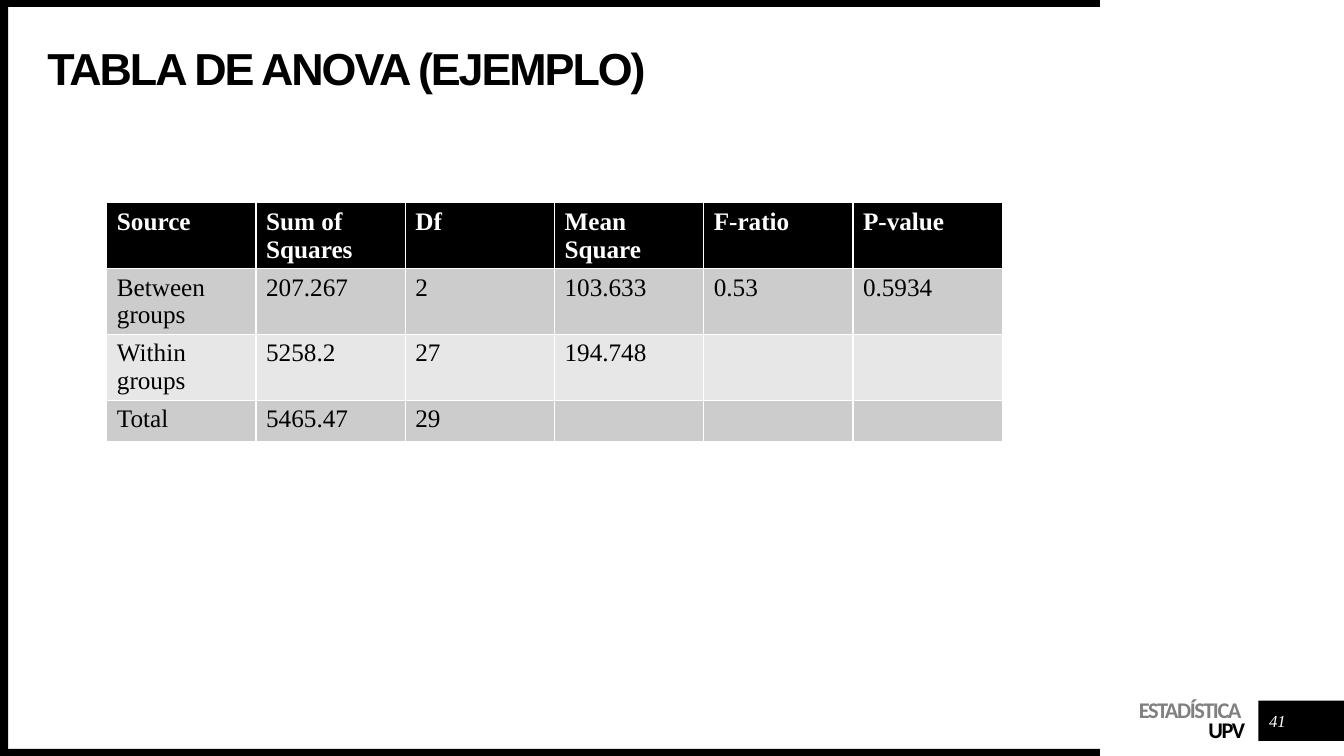
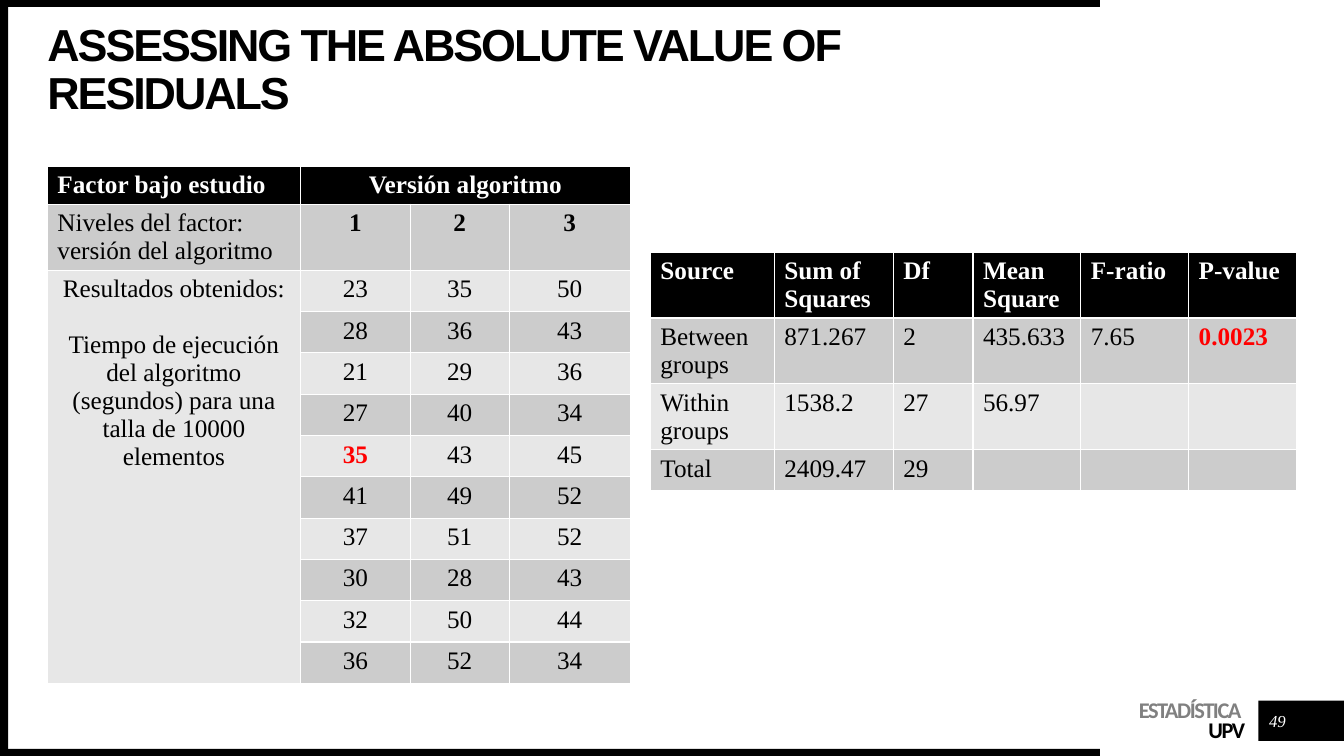
from dataclasses import dataclass
from typing import NamedTuple

from pptx import Presentation
from pptx.dml.color import RGBColor
from pptx.enum.shapes import MSO_SHAPE
from pptx.enum.text import MSO_ANCHOR, MSO_AUTO_SIZE, PP_ALIGN
from pptx.util import Inches, Pt

RECTANGLE = MSO_SHAPE.RECTANGLE
MIDDLE = MSO_ANCHOR.MIDDLE
NO_AUTOFIT = MSO_AUTO_SIZE.NONE
LEFT, CENTER, RIGHT = PP_ALIGN.LEFT, PP_ALIGN.CENTER, PP_ALIGN.RIGHT


class TextStyle(NamedTuple):
    font: str
    size: int
    color: str
    bold: bool = False
    italic: bool = False
    tracking: int = 0


@dataclass(frozen=True)
class Theme:
    ink: str = "000000"
    row_fills: tuple = ("E7E7E7", "CCCCCC")
    title: TextStyle = TextStyle("Arial", 32, "000000", bold=True, tracking=-150)
    course: TextStyle = TextStyle("Calibri", 16, "808080", bold=True, tracking=-100)
    school: TextStyle = TextStyle("Calibri", 16, "000000", bold=True, tracking=-100)
    number: TextStyle = TextStyle("Times New Roman", 12, "FFFFFF", italic=True)
    header: TextStyle = TextStyle("Times New Roman", 18, "FFFFFF", bold=True)
    body: TextStyle = TextStyle("Times New Roman", 18, "000000")
    level: TextStyle = TextStyle("Times New Roman", 18, "000000", bold=True)
    alert: TextStyle = TextStyle("Times New Roman", 18, "FF0000", bold=True)


theme = Theme()


def add_run(paragraph, text, style, alignment):
    paragraph.alignment = alignment
    run = paragraph.add_run()
    run.text = text
    run.font.name = style.font
    run.font.size = Pt(style.size)
    run.font.bold = style.bold
    run.font.italic = style.italic
    run.font.color.rgb = RGBColor.from_string(style.color)
    if style.tracking:
        run.font._element.set("spc", str(style.tracking))


def add_data_table(slide, left, top, widths, heights, rows, styles, centered):
    table = slide.shapes.add_table(
        len(rows), len(widths), Inches(left), Inches(top),
        Inches(sum(widths)), Inches(sum(heights)),
    ).table
    for column, width in zip(table.columns, widths):
        column.width = Inches(width)
    for row_index, texts in enumerate(rows):
        table.rows[row_index].height = Inches(heights[row_index])
        row_fill = theme.row_fills[row_index % 2] if row_index else theme.ink
        row_style = theme.body if row_index else theme.header
        for column_index, text in enumerate(texts):
            cell = table.cell(row_index, column_index)
            cell.fill.solid()
            cell.fill.fore_color.rgb = RGBColor.from_string(row_fill)
            style = styles.get((row_index, column_index), row_style)
            in_center = centered and (column_index > 0 or row_index > 1)
            for line_index, line in enumerate(text.split("\n") if text else []):
                paragraph = cell.text_frame.paragraphs[0]
                if line_index:
                    paragraph = cell.text_frame.add_paragraph()
                    paragraph.space_before = Pt(20)
                add_run(paragraph, line, style, CENTER if in_center else LEFT)
    return table


presentation = Presentation()
presentation.slide_width = Inches(13.33)
presentation.slide_height = Inches(7.5)
layout = presentation.slide_layouts[5]
for placeholder in list(layout.placeholders):
    if placeholder.placeholder_format.idx:
        placeholder.element.getparent().remove(placeholder.element)

pages = [
    ("TABLA DE ANOVA (EJEMPLO)", "41"),
    ("ASSESSING THE ABSOLUTE VALUE OF RESIDUALS", "49"),
]
slides = [presentation.slides.add_slide(layout) for page in pages]

shared_shapes = []
bands = [
    (12.48, 6.95, 0.86, 0.4),
    (0, 7.43, 10.91, 0.07),
    (0, 0, 10.91, 0.07),
    (0, 0, 0.08, 7.47),
]
for band in bands:
    shape = slides[0].shapes.add_shape(RECTANGLE, *map(Inches, band))
    shape.shadow.inherit = False
    shape.fill.solid()
    shape.fill.fore_color.rgb = RGBColor.from_string(theme.ink)
    shape.line.fill.background()
    shared_shapes.append(shape)

signature = slides[0].shapes.add_textbox(
    Inches(10.53), Inches(6.94), Inches(1.82), Inches(0.44)
)
signature_frame = signature.text_frame
signature_frame.word_wrap = True
signature_frame.margin_left = signature_frame.margin_right = 0
signature_frame.margin_top = Inches(0.04)
signature_frame.margin_bottom = 0
add_run(signature_frame.paragraphs[0], "ESTADÍSTICA ", theme.course, RIGHT)
add_run(signature_frame.add_paragraph(), "UPV", theme.school, RIGHT)
for paragraph in signature_frame.paragraphs:
    paragraph.line_spacing = Pt(14)
shared_shapes.append(signature)

for shape in shared_shapes:
    layout.shapes.element.append(shape.element)

for slide, (title_text, number_text) in zip(slides, pages):
    title = slide.shapes.title
    title.left, title.top = Inches(0.47), Inches(0.47)
    title.width, title.height = Inches(10.06), Inches(0.47)
    number = slide.shapes.add_textbox(
        Inches(12.52), Inches(7), Inches(0.3), Inches(0.3)
    )
    for shape in (title, number):
        frame = shape.text_frame
        frame.word_wrap = True
        frame.auto_size = NO_AUTOFIT
        frame.vertical_anchor = MIDDLE
        frame.margin_left = frame.margin_right = 0
        frame.margin_top = frame.margin_bottom = 0
    title.text_frame.paragraphs[0].line_spacing = 0.9
    add_run(title.text_frame.paragraphs[0], title_text, theme.title, LEFT)
    add_run(number.text_frame.paragraphs[0], number_text, theme.number, CENTER)

anova_header = ["Source", "Sum of Squares", "Df", "Mean Square", "F-ratio", "P-value"]
anova_heights = [0.65, 0.65, 0.65, 0.41]

example_rows = [
    anova_header,
    ["Between groups", "207.267", "2", "103.633", "0.53", "0.5934"],
    ["Within groups", "5258.2", "27", "194.748", "", ""],
    ["Total", "5465.47", "29", "", "", ""],
]
add_data_table(
    slides[0], 1.06, 2.01, [1.48] * 6, anova_heights, example_rows, {}, False
)

residual_rows = [
    anova_header,
    ["Between groups", "871.267", "2", "435.633", "7.65", "0.0023"],
    ["Within groups", "1538.2", "27", "56.97", "", ""],
    ["Total", "2409.47", "29", "", "", ""],
]
add_data_table(
    slides[1], 6.45, 2.5, [1.23, 1.18, 0.79, 1.07, 1.07, 1.07], anova_heights,
    residual_rows, {(1, 5): theme.alert}, False,
)

execution_times = [
    (23, 35, 50),
    (28, 36, 43),
    (21, 29, 36),
    (27, 40, 34),
    (35, 43, 45),
    (41, 49, 52),
    (37, 51, 52),
    (30, 28, 43),
    (32, 50, 44),
    (36, 52, 34),
]
factor_rows = [
    ["Factor bajo estudio", "Versión algoritmo", "", ""],
    ["Niveles del factor: versión del algoritmo", "1", "2", "3"],
]
factor_rows += [["", *map(str, times)] for times in execution_times]
factor_rows[2][0] = (
    "Resultados obtenidos:\n"
    "Tiempo de ejecución del algoritmo (segundos) para una talla de 10000 elementos"
)
factor_styles = {(1, column): theme.level for column in (1, 2, 3)}
factor_styles[6, 1] = theme.alert
factor_table = add_data_table(
    slides[1], 0.47, 1.65, [2.51, 1.09, 0.98, 1.2],
    [0.37, 0.65] + [0.41] * len(execution_times), factor_rows, factor_styles, True,
)
factor_table.cell(0, 1).merge(factor_table.cell(0, 3))
factor_table.cell(2, 0).merge(factor_table.cell(len(factor_rows) - 1, 0))

presentation.save("out.pptx")
